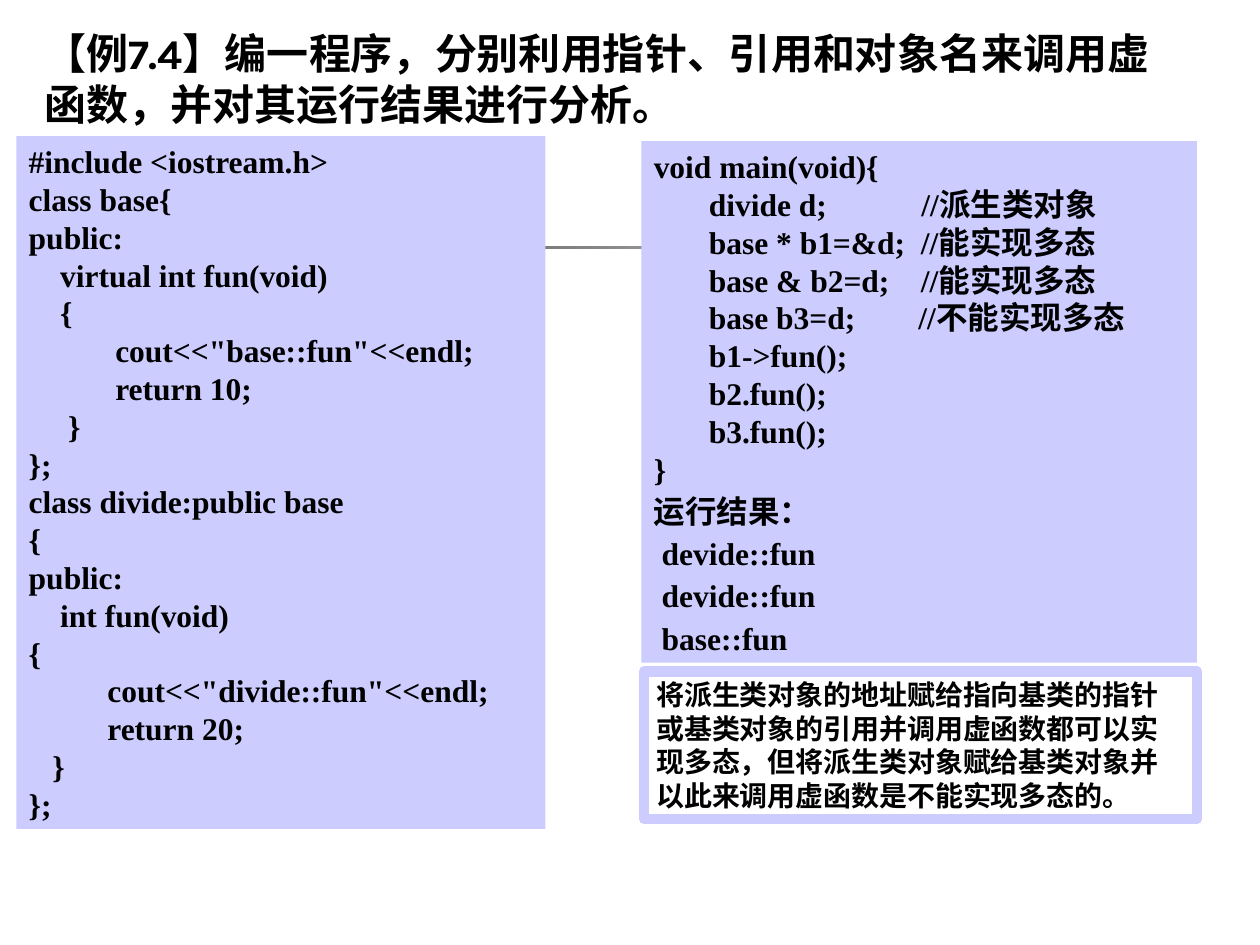
import pptx
import pptx.dml.color
import pptx.enum.shapes
import pptx.enum.text
import pptx.oxml.ns
import pptx.util
from lxml import etree
from pptx.util import Inches

LATIN = "Times New Roman"
CHINESE = "Noto Sans CJK SC"
TITLE_LATIN = "Karla"
BLACK = "000000"
LAVENDER = "CCCCFF"

TITLE_PARTS = [
    ("【例", CHINESE),
    ("7.4", TITLE_LATIN),
    ("】编一程序，分别利用指针、引用和对象名来调用虚函数，并对其运行结果进行分析。", CHINESE),
]

CLASS_CODE = """#include <iostream.h>
class base{
public:
    virtual int fun(void)
    {
           cout<<"base::fun"<<endl;
           return 10;
     }
};
class divide:public base
{
public:
    int fun(void)
{
          cout<<"divide::fun"<<endl;
          return 20;
   }
};"""

MAIN_CODE = """void main(void){
       divide d;            //派生类对象
       base * b1=&d;  //能实现多态
       base & b2=d;    //能实现多态
       base b3=d;        //不能实现多态
       b1->fun();
       b2.fun();
       b3.fun();
}"""

RUN_RESULT = """运行结果：
 devide::fun
 devide::fun
 base::fun"""

EXPLANATION = (
    "将派生类对象的地址赋给指向基类的指针或基类对象的引用并调用虚函数都可以实现多态，"
    "但将派生类对象赋给基类对象并以此来调用虚函数是不能实现多态的。"
)


def color(value):
    return pptx.dml.color.RGBColor.from_string(value)


class SlideBuilder:
    def __init__(self, slide):
        self.slide = slide

    def format_run(self, run, size, latin):
        run.font.size = pptx.util.Pt(size)
        run.font.bold = True
        run.font.name = latin
        run.font.color.rgb = color(BLACK)
        properties = run.font._element
        east_asian = etree.Element(pptx.oxml.ns.qn("a:ea"), typeface=CHINESE)
        properties.find(pptx.oxml.ns.qn("a:latin")).addnext(east_asian)

    def prepare_frame(self, text_frame):
        text_frame.word_wrap = True
        text_frame.auto_size = pptx.enum.text.MSO_AUTO_SIZE.NONE
        text_frame.vertical_anchor = pptx.enum.text.MSO_ANCHOR.TOP

    def title(self, parts, left, top, width, height):
        title = self.slide.shapes.title
        title.left, title.top = Inches(left), Inches(top)
        title.width, title.height = Inches(width), Inches(height)
        self.prepare_frame(title.text_frame)
        paragraph = title.text_frame.paragraphs[0]
        paragraph.alignment = pptx.enum.text.PP_ALIGN.LEFT
        for text, font_name in parts:
            run = paragraph.add_run()
            run.text = text
            self.format_run(run, 24, font_name)

    def rectangle(self, left, top, width, height):
        shape = self.slide.shapes.add_shape(
            pptx.enum.shapes.MSO_SHAPE.RECTANGLE,
            Inches(left), Inches(top), Inches(width), Inches(height))
        shape.shadow.inherit = False
        shape.fill.background()
        shape.line.fill.background()
        return shape

    def gradient_rule(self, left, top, width, height, colors):
        rule = self.rectangle(left, top, width, height)
        rule.fill.gradient()
        rule.fill.gradient_angle = 180
        for stop, value in zip(rule.fill.gradient_stops, colors):
            stop.color.rgb = color(value)

    def set_text(self, shape, text, size, latin):
        self.prepare_frame(shape.text_frame)
        shape.text_frame.text = text
        for paragraph in shape.text_frame.paragraphs:
            paragraph.alignment = pptx.enum.text.PP_ALIGN.LEFT
            for run in paragraph.runs:
                self.format_run(run, size, latin)

    def code_panel(self, code, left, top, width, height, result=""):
        """Filled panel of code, with optional program output set looser below."""
        panel = self.rectangle(left, top, width, height)
        panel.fill.solid()
        panel.fill.fore_color.rgb = color(LAVENDER)
        text = f"{code}\n{result}" if result else code
        self.set_text(panel, text, 18, LATIN)
        code_lines = len(code.splitlines())
        for paragraph in panel.text_frame.paragraphs[code_lines:]:
            paragraph.line_spacing = 0.8
            paragraph.space_before = pptx.util.Pt(6.8)

    def framed_note(self, text, left, top, width, height):
        note = self.rectangle(left, top, width, height)
        note.line.color.rgb = color(LAVENDER)
        note.line.width = pptx.util.Pt(6)
        self.set_text(note, text, 16, CHINESE)


def main():
    presentation = pptx.Presentation()
    presentation.slide_width = Inches(10)
    presentation.slide_height = Inches(7.5)
    title_only = presentation.slide_layouts[5]
    builder = SlideBuilder(presentation.slides.add_slide(title_only))

    builder.gradient_rule(0.48, 1.95, 9, 0.03, ["FFFFFF", "1C1C1C"])
    builder.title(TITLE_PARTS, 0.25, 0.17, 9.25, 0.92)
    builder.code_panel(CLASS_CODE, 0.13, 1.08, 4.2, 5.5)
    builder.code_panel(MAIN_CODE, 5.09, 1.12, 4.41, 4.14, RUN_RESULT)
    builder.framed_note(EXPLANATION, 5.11, 5.33, 4.39, 1.17)

    presentation.save("out.pptx")


if __name__ == "__main__":
    main()
